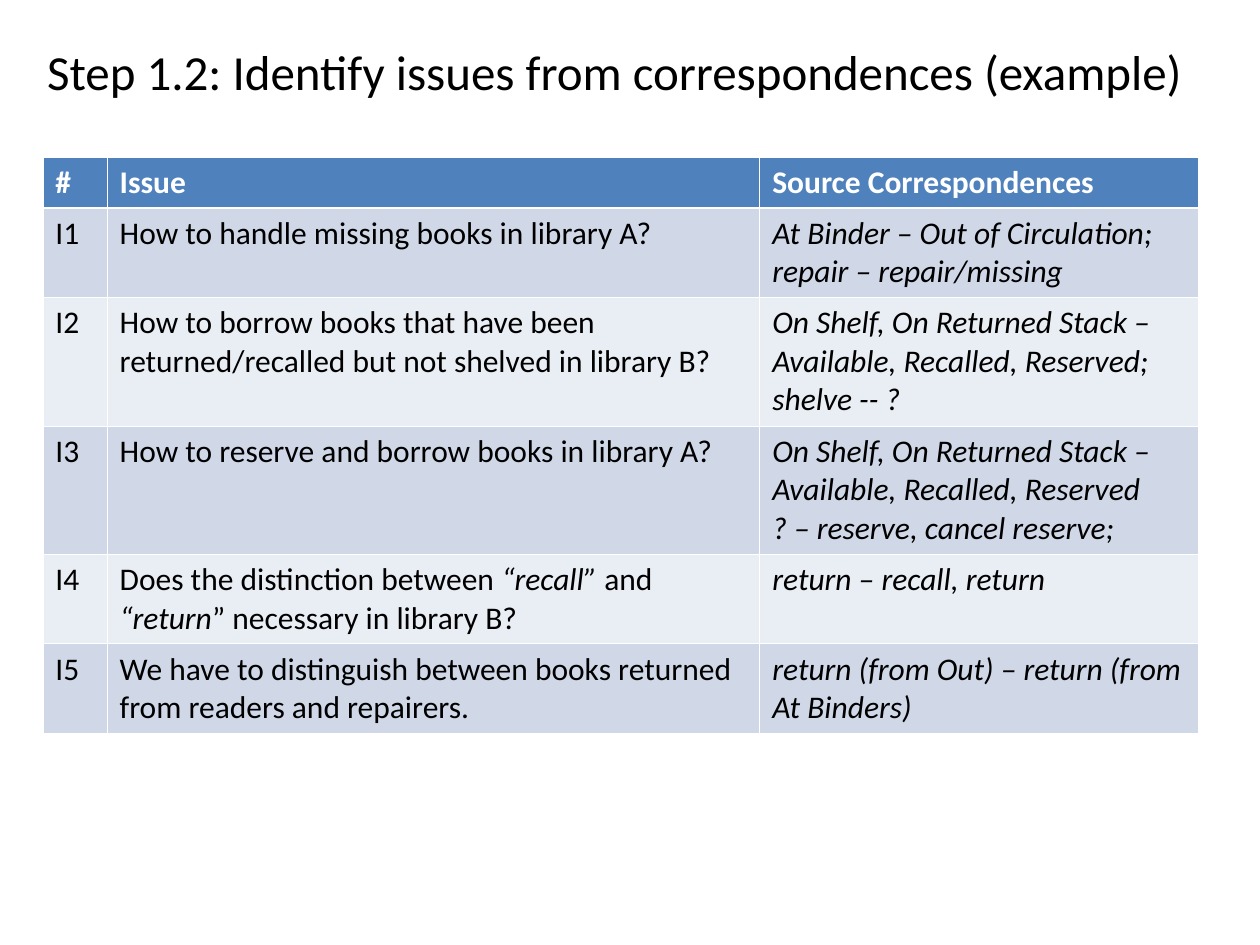
from lxml import etree
from pptx import Presentation
from pptx.dml.color import RGBColor
from pptx.enum import text
from pptx.oxml import ns
from pptx.util import Inches, Pt

FONT = "Calibri"
COLORS = {"header": "4F81BD", "odd": "D0D8E8", "even": "E9EDF4",
          "border": "FFFFFF", "light": "FFFFFF", "dark": "000000"}
TITLE = "Step 1.2: Identify issues from correspondences (example)"
HEADER = ("#", "Issue", "Source Correspondences")
ISSUES = [
    ("I1", "How to handle missing books in library A?",
     "At Binder – Out of Circulation;\nrepair – repair/missing"),
    ("I2", "How to borrow books that have been returned/recalled but not shelved in library B?",
     "On Shelf, On Returned Stack – Available, Recalled, Reserved;\nshelve -- ?"),
    ("I3", "How to reserve and borrow books in library A?",
     "On Shelf, On Returned Stack – Available, Recalled, Reserved\n? – reserve, cancel reserve;"),
    ("I4", "Does the distinction between *“recall” *and *“return*” necessary in library B?",
     "return – recall, return"),
    ("I5", "We have to distinguish between books returned from readers and repairers.",
     "return (from Out) – return (from At Binders)"),
]
COLUMN_WIDTHS = (0.51, 5.18, 3.48)
ROW_HEIGHTS = (0.4, 0.71, 1.02, 1.02, 0.71, 0.71)
THIN, THICK = 0.45, 1.47


def color(name):
    return RGBColor.from_string(COLORS[name])


def write(paragraph, content, size, shade, bold=False, italic=False):
    font = paragraph.font
    font.name, font.size = FONT, Pt(size)
    font.bold, font.italic = bold, italic
    font.color.rgb = color(shade)
    pieces = content.split("*")
    for index, piece in enumerate(pieces):
        span = paragraph.add_run()
        span.text = piece
        if len(pieces) > 1:
            span.font.italic = index % 2 == 1


def add_borders(cell, top, bottom):
    properties = cell._tc.get_or_add_tcPr()
    for side, width in (("L", THIN), ("R", THIN), ("T", top), ("B", bottom)):
        line = etree.SubElement(properties, ns.qn("a:ln" + side), w=str(Pt(width)))
        fill = etree.SubElement(line, ns.qn("a:solidFill"))
        etree.SubElement(fill, ns.qn("a:srgbClr"), val=COLORS["border"])


def add_title(page):
    box = page.shapes.add_textbox(Inches(0.25), Inches(0.3), Inches(9.25), Inches(0.53))
    frame = box.text_frame
    frame.word_wrap = True
    frame.vertical_anchor = text.MSO_ANCHOR.MIDDLE
    frame.margin_left = frame.margin_right = frame.margin_top = frame.margin_bottom = 0
    paragraph = frame.paragraphs[0]
    paragraph.alignment = text.PP_ALIGN.CENTER
    write(paragraph, TITLE, 28, "dark")


def add_issue_table(page):
    rows = [HEADER, *ISSUES]
    table = page.shapes.add_table(
        len(rows), len(HEADER), Inches(0.34), Inches(1.25),
        Inches(sum(COLUMN_WIDTHS)), Inches(sum(ROW_HEIGHTS))).table
    for column, width in zip(table.columns, COLUMN_WIDTHS):
        column.width = Inches(width)
    for row, height in zip(table.rows, ROW_HEIGHTS):
        row.height = Inches(height)
    for r, values in enumerate(rows):
        is_header = r == 0
        band = "header" if is_header else ("even", "odd")[r % 2]
        for c, value in enumerate(values):
            cell = table.cell(r, c)
            add_borders(cell, THICK if r == 1 else THIN, THICK if is_header else THIN)
            cell.fill.solid()
            cell.fill.fore_color.rgb = color(band)
            frame = cell.text_frame
            for index, content in enumerate(value.split("\n")):
                paragraph = frame.add_paragraph() if index else frame.paragraphs[0]
                write(paragraph, content, 18, "light" if is_header else "dark",
                      bold=is_header, italic=c == 2 and not is_header)


def main():
    deck = Presentation()
    deck.slide_width, deck.slide_height = Inches(10), Inches(7.5)
    page = deck.slides.add_slide(deck.slide_layouts[6])
    add_title(page)
    add_issue_table(page)
    deck.save("out.pptx")


if __name__ == "__main__":
    main()
